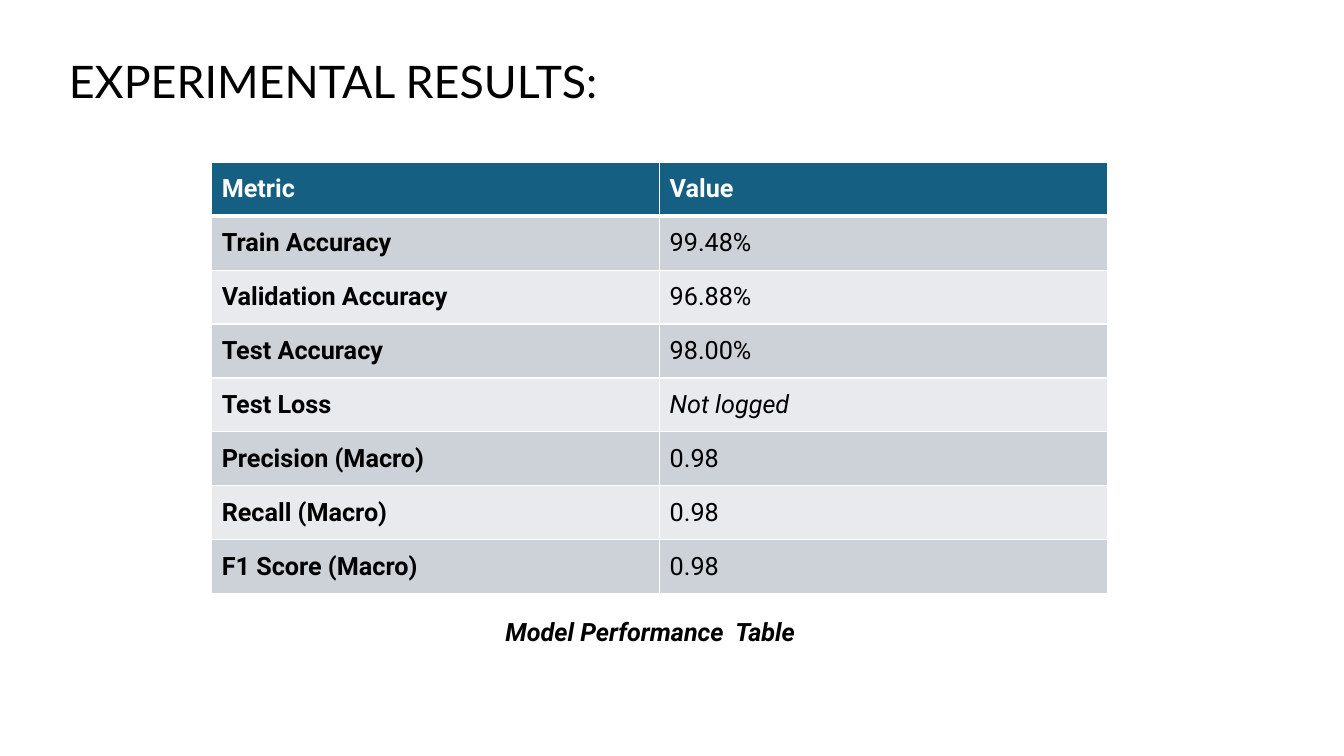
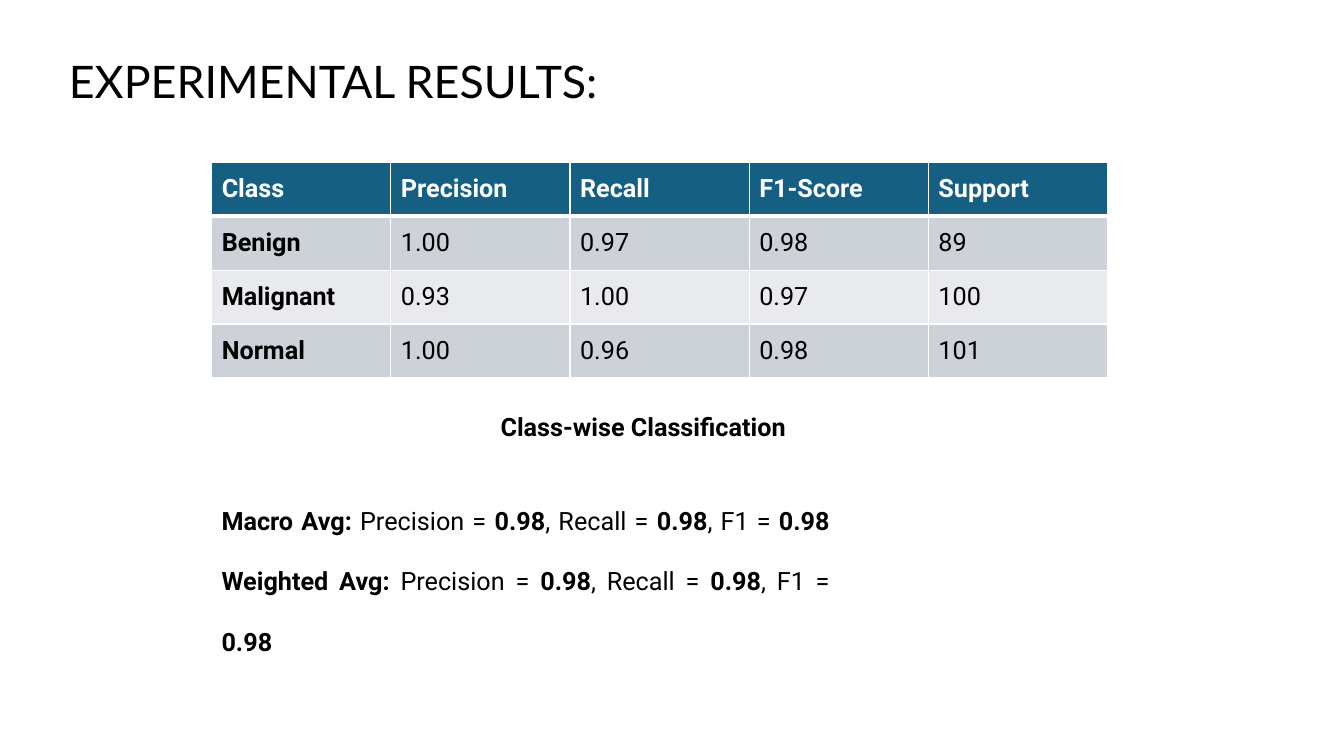
from lxml import etree
from pptx import Presentation
from pptx.dml.color import RGBColor
from pptx.enum import text as t
from pptx.oxml import ns
from pptx.util import Pt

# Shared colours, fonts and layout
BLACK = RGBColor(0x00, 0x00, 0x00)
WHITE = RGBColor(0xFF, 0xFF, 0xFF)
HEADER_BLUE = RGBColor(0x15, 0x60, 0x82)
BANDS = (RGBColor(0xCC, 0xD2, 0xD8), RGBColor(0xE8, 0xEA, 0xED))
TITLE_FONT, BODY_FONT = "Lato", "Roboto"
TITLE_SIZE, BODY_SIZE = 32, 18
TITLE_BOX = (42, 34.5, 873.5, 46)
TABLE_LEFT, TABLE_TOP, TABLE_WIDTH, ROW_HEIGHT = 151.2, 116, 640, 38.5
TITLE_ONLY_LAYOUT = 5

METRICS = [
    ("Metric", "Value"),
    ("Train Accuracy", "99.48%"),
    ("Validation Accuracy", "96.88%"),
    ("Test Accuracy", "98.00%"),
    ("Test Loss", "Not logged"),
    ("Precision (Macro)", "0.98"),
    ("Recall (Macro)", "0.98"),
    ("F1 Score (Macro)", "0.98"),
]
CLASSES = [
    ("Class", "Precision", "Recall", "F1-Score", "Support"),
    ("Benign", "1.00", "0.97", "0.98", "89"),
    ("Malignant", "0.93", "1.00", "0.97", "100"),
    ("Normal", "1.00", "0.96", "0.98", "101"),
]
AVERAGES = [
    ("Macro Avg:", "0.98", "0.98", "0.98"),
    ("Weighted Avg:", "0.98", "0.98", "0.98"),
]


def add_run(paragraph, text, bold=False, italic=False, color=BLACK,
            font=BODY_FONT, size=BODY_SIZE):
    run = paragraph.add_run()
    run.text = text
    run.font.name, run.font.size = font, Pt(size)
    run.font.bold, run.font.italic = bold, italic
    run.font.color.rgb = color


def add_slide(presentation, title):
    """Add a slide with the shared title style."""
    slide = presentation.slides.add_slide(
        presentation.slide_layouts[TITLE_ONLY_LAYOUT])
    shape = slide.shapes.title
    shape.left, shape.top, shape.width, shape.height = map(Pt, TITLE_BOX)
    frame = shape.text_frame
    frame.word_wrap = True
    frame.auto_size = t.MSO_AUTO_SIZE.NONE
    frame.vertical_anchor = t.MSO_ANCHOR.TOP
    paragraph = frame.paragraphs[0]
    paragraph.alignment = t.PP_ALIGN.LEFT
    add_run(paragraph, title, font=TITLE_FONT, size=TITLE_SIZE)
    return slide


def set_borders(cell, top, bottom):
    """Draw white cell borders; top and bottom are widths in points."""
    properties = cell._tc.get_or_add_tcPr()
    for side, width in (("L", 1), ("R", 1), ("T", top), ("B", bottom)):
        line = etree.SubElement(properties, ns.qn(f"a:ln{side}"), w=str(Pt(width)))
        fill = etree.SubElement(line, ns.qn("a:solidFill"))
        etree.SubElement(fill, ns.qn("a:srgbClr"), val=str(WHITE))


def add_results_table(slide, rows, italic_texts=()):
    """Add a banded table with a dark header and a bold first column."""
    columns = len(rows[0])
    table = slide.shapes.add_table(
        len(rows), columns, Pt(TABLE_LEFT), Pt(TABLE_TOP),
        Pt(TABLE_WIDTH), Pt(ROW_HEIGHT * len(rows))).table
    for column in table.columns:
        column.width = Pt(TABLE_WIDTH / columns)
    for row_index, values in enumerate(rows):
        table.rows[row_index].height = Pt(ROW_HEIGHT)
        header = row_index == 0
        for column_index, value in enumerate(values):
            cell = table.cell(row_index, column_index)
            set_borders(cell, top=3 if row_index == 1 else 1,
                        bottom=3 if header else 1)
            cell.fill.solid()
            cell.fill.fore_color.rgb = (
                HEADER_BLUE if header else BANDS[(row_index - 1) % 2])
            cell.vertical_anchor = t.MSO_ANCHOR.MIDDLE
            add_run(cell.text_frame.paragraphs[0], value,
                    bold=header or column_index == 0,
                    italic=value in italic_texts,
                    color=WHITE if header else BLACK)


def add_text_box(slide, left, top, width, height):
    """Add a wrapping text box and return its first paragraph."""
    box = slide.shapes.add_textbox(Pt(left), Pt(top), Pt(width), Pt(height))
    frame = box.text_frame
    frame.word_wrap = True
    frame.auto_size = t.MSO_AUTO_SIZE.SHAPE_TO_FIT_TEXT
    return frame.paragraphs[0]


def add_averages(slide, left, top, width, height):
    """Add the averages, one to a line, with bold labels and values."""
    paragraph = add_text_box(slide, left, top, width, height)
    paragraph.alignment = t.PP_ALIGN.JUSTIFY
    paragraph.line_spacing = 2.0
    for index, (label, *values) in enumerate(AVERAGES):
        if index:
            paragraph.add_line_break()
        add_run(paragraph, label, bold=True)
        for name, value in zip((" Precision", ", Recall", ", F1"), values):
            add_run(paragraph, f"{name} = ")
            add_run(paragraph, value, bold=True)


def build_performance_slide(presentation):
    slide = add_slide(presentation, "EXPERIMENTAL RESULTS:")
    add_results_table(slide, METRICS, italic_texts=("Not logged",))
    caption = add_text_box(slide, 354, 436.5, 235, 29)
    add_run(caption, "Model Performance  Table", bold=True, italic=True)


def build_class_slide(presentation):
    slide = add_slide(presentation, "EXPERIMENTAL RESULTS:")
    add_results_table(slide, CLASSES)
    add_averages(slide, TABLE_LEFT, 335.5, 448.5, 88.5)
    caption = add_text_box(slide, 350.5, 290, 241, 29)
    add_run(caption, "Class-wise Classification", bold=True)


def main():
    presentation = Presentation()
    presentation.slide_width, presentation.slide_height = Pt(960), Pt(540)
    build_performance_slide(presentation)
    build_class_slide(presentation)
    presentation.save("out.pptx")


if __name__ == "__main__":
    main()
